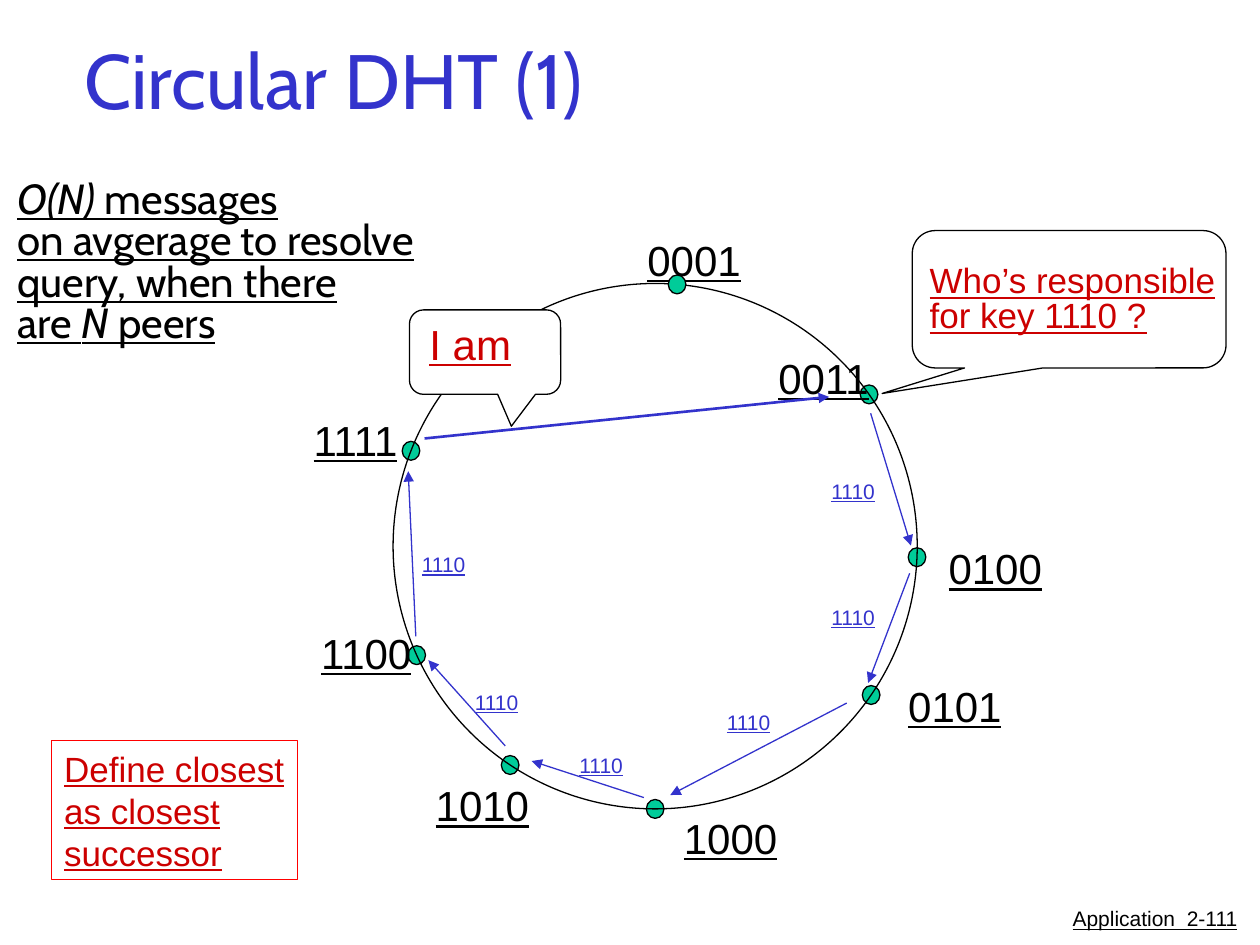
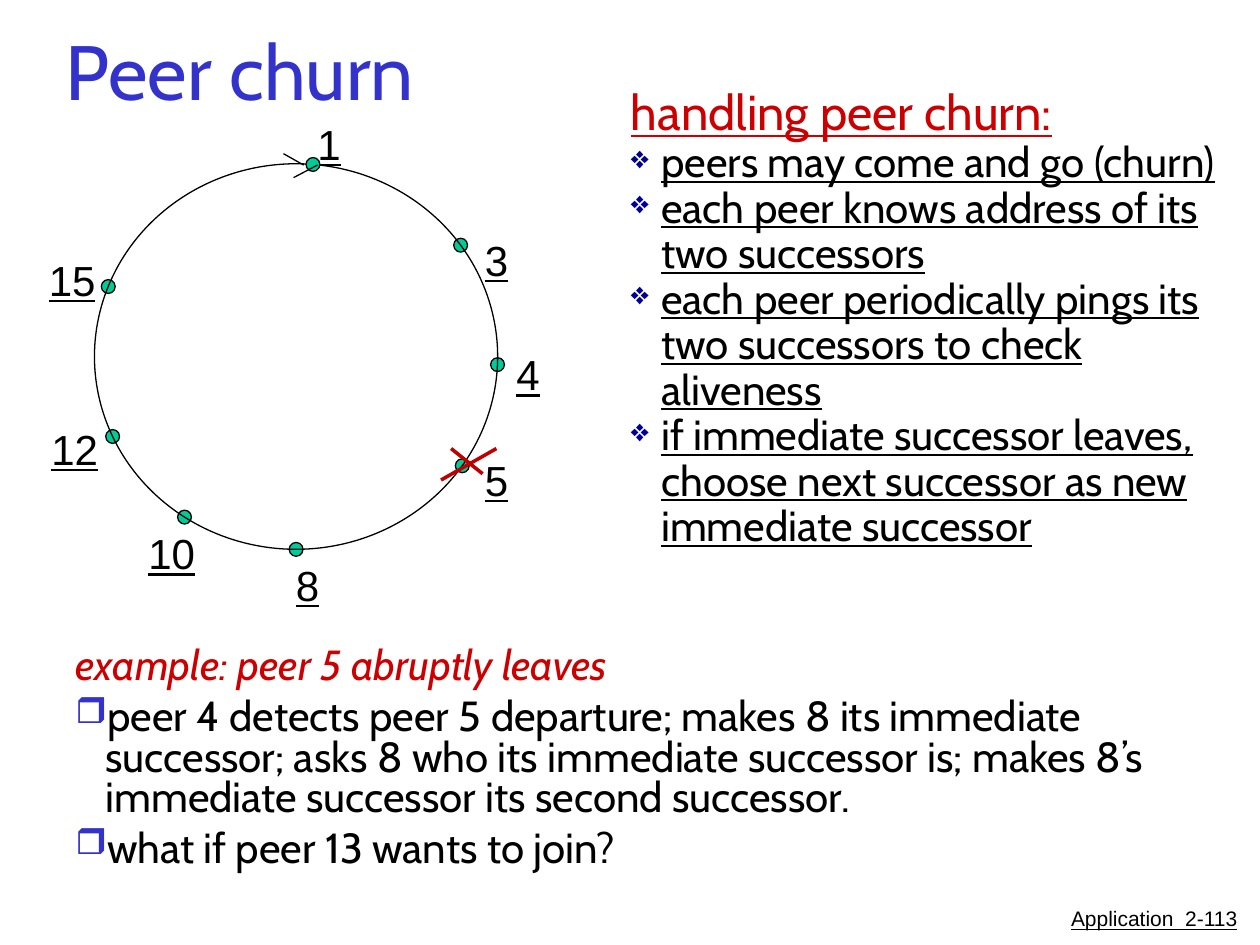
"""Build two slides on circular DHTs and peer churn."""
import math

import pptx
import pptx.dml.color
import pptx.enum.shapes
import pptx.enum.text
import pptx.oxml
import pptx.oxml.ns
import pptx.util

Inches, Pt = pptx.util.Inches, pptx.util.Pt
RGBColor = pptx.dml.color.RGBColor
SHAPE = pptx.enum.shapes.MSO_SHAPE
ANCHOR = pptx.enum.text.MSO_ANCHOR
ALIGN = pptx.enum.text.PP_ALIGN

BLACK = RGBColor(0, 0, 0)
WHITE = RGBColor(255, 255, 255)
BLUE = RGBColor(0x33, 0x33, 0xCC)
NAVY = RGBColor(0, 0, 0x99)
RED = RGBColor(0xCC, 0, 0)
CROSS_RED = RGBColor(0xC0, 0, 0)
FRAME_RED = RGBColor(0xFF, 0, 0)
GREEN = RGBColor(0, 0xCC, 0x99)
SANS, CABIN = "Arial", "Cabin"

SLIDE_SIZE = (10, 7.5)
FOOTER_BOX = (8.33, 7.14, 1.59, 0.31)
PEER_ANGLES = (4.8, 54.7, 92.4, 124.5, 180, 213.6, 245.5, 291.3)

DHT_RING = {"centre": (5.2, 4.335), "radii": (2.08, 2.085), "dot": (0.14, 0.15), "label_width": 0.94}
DHT_PEERS = [
    ("0001", (5.04, 1.81)), ("0011", (6.08, 2.75)), ("0100", (7.43, 4.26)), ("0101", (7.11, 5.35)),
    ("1000", (5.33, 6.4)), ("1010", (3.36, 6.14)), ("1100", (2.45, 4.93)), ("1111", (2.39, 3.24)),
]
QUERY_KEY = "1110"
QUERY_HOPS = [
    ((6.91, 3.28), (7.23, 4.33), (6.5, 3.75)),
    ((7.22, 4.55), (6.89, 5.42), (6.5, 4.75)),
    ((6.72, 5.58), (5.32, 6.31), (5.67, 5.58)),
    ((5.11, 6.33), (4.22, 6.04), (4.5, 5.92)),
    ((4.01, 5.92), (3.4, 5.24), (3.67, 5.42)),
    ((3.3, 5.05), (3.24, 3.74), (3.25, 4.33)),
]
REPLY = ((3.37, 3.48), (6.58, 3.15))
QUESTION = ["Who’s responsible", "for key 1110 ?"]
COST = [
    [("O(N) ", True), ("messages", False)],
    "on avgerage to resolve",
    "query, when there",
    [("are ", False), ("N", True), (" peers", False)],
]
DEFINITION = ["Define closest", "as closest", "successor"]

CHURN_RING = {"centre": (2.35, 2.83), "radii": (1.6, 1.53), "dot": (0.11, 0.11), "label_width": 0.38}
CHURN_PEERS = [
    ("1", (2.42, 0.89)), ("3", (3.75, 1.81)), ("4", (4, 2.72)), ("5", (3.75, 3.56)),
    ("8", (2.25, 4.39)), ("10", (1.08, 4.14)), ("12", (0.31, 3.31)), ("15", (0.29, 1.97)),
]
ARROW_STROKES = [((2.25, 1.22), (2.41, 1.31)), ((2.52, 1.31), (2.33, 1.41))]
CROSS_STROKES = [((3.58, 3.56), (3.83, 3.76)), ((3.94, 3.56), (3.5, 3.81))]
HANDLING = [
    "peers may come and go (churn)",
    "each peer knows address of its two successors",
    "each peer periodically pings its two successors to check aliveness",
    "if immediate successor leaves, choose next successor as new immediate successor",
]
EXAMPLE = [
    "peer 4 detects peer 5 departure; makes 8 its immediate successor; asks 8 who its immediate "
    "successor is; makes 8’s immediate successor its second successor.",
    "what if peer 13 wants to join?",
]


def add_xml(parent, markup):
    namespace = pptx.oxml.ns.nsdecls("a")
    parent.append(pptx.oxml.parse_xml(markup.replace("/>", f" {namespace}/>", 1)
                                      if markup.count("<") == 1
                                      else markup.replace(">", f" {namespace}>", 1)))


def write(frame, text, size=24, font=SANS, color=BLACK, underline=True, italic=False,
          align=ALIGN.LEFT, spacing=None, before=None, bullet=None):
    paragraph = frame.paragraphs[0]
    if paragraph.runs:
        paragraph = frame.add_paragraph()
    if bullet:
        symbol, bullet_color, percent = bullet
        properties = paragraph._p.get_or_add_pPr()
        properties.set("marL", str(Inches(0.24)))
        properties.set("indent", str(-Inches(0.24)))
        add_xml(properties, f'<a:buClr><a:srgbClr val="{bullet_color}"/></a:buClr>')
        add_xml(properties, f'<a:buSzPct val="{percent * 1000}"/>')
        add_xml(properties, f'<a:buChar char="{symbol}"/>')
    paragraph.alignment = align
    paragraph.line_spacing = spacing
    paragraph.space_before = before
    for words, slanted in [(text, italic)] if isinstance(text, str) else text:
        run = paragraph.add_run()
        run.text = words
        run.font.size, run.font.name = Pt(size), font
        run.font.underline, run.font.italic = underline, slanted
        run.font.color.rgb = color


def text_frame(slide, box, wrap=True, anchor=ANCHOR.TOP):
    frame = slide.shapes.add_textbox(*map(Inches, box)).text_frame
    frame.word_wrap = wrap
    frame.vertical_anchor = anchor
    return frame


def add_shape(slide, kind, box, fill=None, line=BLACK, adjustments=()):
    shape = slide.shapes.add_shape(kind, *map(Inches, box))
    shape.shadow.inherit = False
    if fill is None:
        shape.fill.background()
    else:
        shape.fill.solid()
        shape.fill.fore_color.rgb = fill
    shape.line.color.rgb = line
    shape.line.width = Pt(0.75)
    for index, value in enumerate(adjustments):
        shape.adjustments[index] = value
    return shape


def add_line(slide, start, end, color=BLACK, width=0.75, arrow=False):
    connector = slide.shapes.add_connector(
        pptx.enum.shapes.MSO_CONNECTOR.STRAIGHT, *map(Inches, start + end))
    connector.line.color.rgb = color
    connector.line.width = Pt(width)
    if arrow:
        add_xml(connector.line._get_or_add_ln(), '<a:tailEnd type="triangle"/>')
    add_xml(connector._element.spPr, "<a:effectLst/>")


def add_ellipse(slide, centre, radii, fill=None):
    left, top = (middle - radius for middle, radius in zip(centre, radii))
    add_shape(slide, SHAPE.OVAL, (left, top, 2 * radii[0], 2 * radii[1]), fill)


def add_ring(slide, peers, centre, radii, dot, label_width):
    def add_dot(angle):
        turn = math.radians(angle)
        place = (centre[0] + radii[0] * math.sin(turn), centre[1] - radii[1] * math.cos(turn))
        add_ellipse(slide, place, (dot[0] / 2, dot[1] / 2), GREEN)

    for angle in PEER_ANGLES[1:]:
        add_dot(angle)
    add_ellipse(slide, centre, radii)
    for label, corner in peers:
        width = 0.57 if len(label) == 2 else label_width
        write(text_frame(slide, (*corner, width, 0.5), wrap=False), label)
    add_dot(PEER_ANGLES[0])


def add_slide(presentation, title, title_box, number):
    slide = presentation.slides.add_slide(presentation.slide_layouts[6])
    write(text_frame(slide, title_box, anchor=ANCHOR.MIDDLE), title,
          size=44, font=CABIN, color=BLUE, underline=False)
    write(text_frame(slide, FOOTER_BOX), f"Application  2-{number}", size=12, align=ALIGN.RIGHT)
    return slide


def build_circular_dht(presentation):
    slide = add_slide(presentation, "Circular DHT (1)", (0.57, 0, 8.5, 1.25), 111)
    add_ring(slide, DHT_PEERS, **DHT_RING)

    add_shape(slide, SHAPE.ROUNDED_RECTANGULAR_CALLOUT, (7.24, 1.83, 2.49, 1.09),
              adjustments=(-0.596, 0.686, 0.167))
    question = text_frame(slide, (7.28, 2.06, 2.47, 0.66), wrap=False)
    for line in QUESTION:
        write(question, line, size=20, color=RED, spacing=Pt(20))

    for start, end, corner in QUERY_HOPS:
        add_line(slide, start, end, BLUE, arrow=True)
        write(text_frame(slide, (*corner, 0.57, 0.3), wrap=False), QUERY_KEY, size=12, color=BLUE)
    add_line(slide, *REPLY, BLUE, width=1.5, arrow=True)
    add_shape(slide, SHAPE.ROUNDED_RECTANGULAR_CALLOUT, (3.25, 2.46, 1.2, 0.67), WHITE,
              adjustments=(0.174, 0.878, 0.167))
    write(text_frame(slide, (3.31, 2.48, 1.42, 0.5)), "I am", color=RED)

    cost = text_frame(slide, (0.04, 1.39, 3.78, 1.42), wrap=False)
    for line in COST:
        write(cost, line, font=CABIN, spacing=Pt(23.7))

    definition = add_shape(slide, SHAPE.RECTANGLE, (0.41, 5.88, 1.95, 1.1), line=FRAME_RED).text_frame
    definition.word_wrap = False
    definition.vertical_anchor = ANCHOR.TOP
    for line in DEFINITION:
        write(definition, line, size=20, color=RED, spacing=Pt(24))


def build_peer_churn(presentation):
    slide = add_slide(presentation, "Peer churn", (0.42, 0, 9, 1.11), 113)
    example = text_frame(slide, (0.5, 5.1, 9, 2.33))
    write(example, "example: peer 5 abruptly leaves", font=CABIN, color=RED,
          underline=False, italic=True, spacing=0.8)
    for point in EXAMPLE:
        write(example, point, font=CABIN, underline=False, spacing=0.8,
              before=Pt(6), bullet=("❒", BLUE, 85))

    add_ring(slide, CHURN_PEERS, **CHURN_RING)
    for stroke in ARROW_STROKES:
        add_line(slide, *stroke)
    for stroke in CROSS_STROKES:
        add_line(slide, *stroke, CROSS_RED, width=2)

    handling = text_frame(slide, (4.91, 0.6, 4.84, 4.94))
    write(handling, "handling peer churn:", size=28, font=CABIN, color=RED)
    for point in HANDLING:
        write(handling, point, font=CABIN, spacing=Pt(26), bullet=("❖", NAVY, 75))


def main():
    presentation = pptx.Presentation()
    presentation.slide_width, presentation.slide_height = map(Inches, SLIDE_SIZE)
    build_circular_dht(presentation)
    build_peer_churn(presentation)
    presentation.save("out.pptx")


if __name__ == "__main__":
    main()
